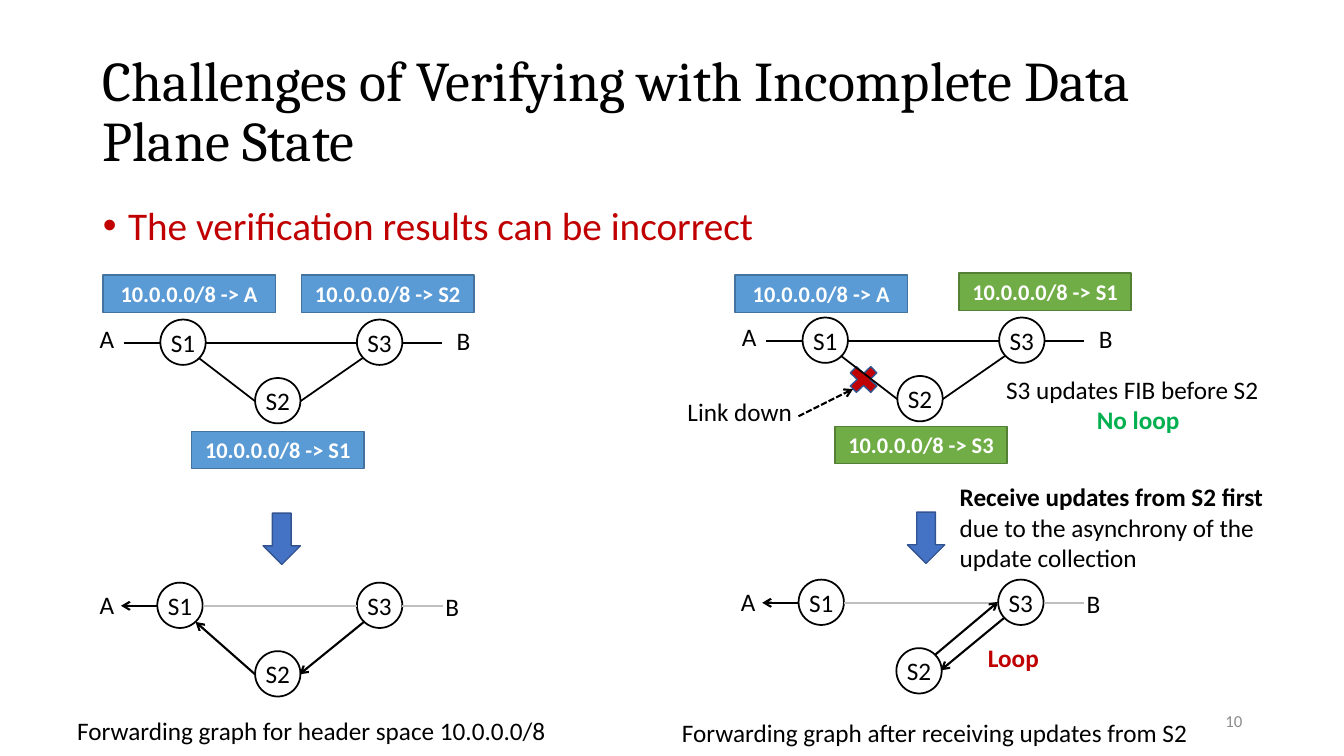
from lxml import etree
from pptx import Presentation
from pptx.dml.color import RGBColor
from pptx.enum.dml import MSO_LINE
from pptx.enum.shapes import MSO_CONNECTOR, MSO_SHAPE
from pptx.enum.text import MSO_ANCHOR, MSO_AUTO_SIZE, PP_ALIGN
from pptx.oxml.ns import qn
from pptx.util import Pt

PX = 9144
LEFT, CENTER, RIGHT = PP_ALIGN.LEFT, PP_ALIGN.CENTER, PP_ALIGN.RIGHT
TOP, MIDDLE = MSO_ANCHOR.TOP, MSO_ANCHOR.MIDDLE
OVAL, RECTANGLE = MSO_SHAPE.OVAL, MSO_SHAPE.RECTANGLE
CROSS, DOWN_ARROW = MSO_SHAPE.MATH_MULTIPLY, MSO_SHAPE.DOWN_ARROW
STRAIGHT, SYSTEM_DASH = MSO_CONNECTOR.STRAIGHT, MSO_LINE.SQUARE_DOT
BLACK, WHITE, RED, GREEN, GRAY = "000000", "FFFFFF", "C00000", "00B050", "8C8C8C"
OLD_RULE, NEW_RULE = ("5B9BD5", "43739E"), ("70AD47", "538035")
LINK, UNUSED, ROUTE = (BLACK, 1.25, False), ("BFBFBF", 1.25, False), (BLACK, 1.5, True)

presentation = Presentation()
presentation.slide_width = 1333 * PX
presentation.slide_height = 750 * PX
slide = presentation.slides.add_slide(presentation.slide_layouts[1])


def add_box(kind, bounds, text="", fill=None, line=None, line_width=1,
            size=18, color=BLACK, bold=False, align=LEFT, anchor=TOP):
    bounds = [value * PX for value in bounds]
    if kind is None:
        shape = slide.shapes.add_textbox(*bounds)
    else:
        shape = slide.shapes.add_shape(kind, *bounds)
        shape.shadow.inherit = False
        shape.fill.solid()
        shape.fill.fore_color.rgb = RGBColor.from_string(fill)
        shape.line.color.rgb = RGBColor.from_string(line)
        shape.line.width = Pt(line_width)
    frame = shape.text_frame
    frame.word_wrap = True
    frame.vertical_anchor = anchor
    if kind == OVAL:
        frame.margin_left = frame.margin_right = 0
    paragraph = frame.paragraphs[0]
    paragraph.text = text
    paragraph.alignment = align
    paragraph.font.name = "Calibri"
    paragraph.font.size = Pt(size)
    paragraph.font.bold = bold
    paragraph.font.color.rgb = RGBColor.from_string(color)
    return shape


def add_link(begin, end, style):
    color, width, arrow = style
    points = [value * PX for value in (*begin, *end)]
    connector = slide.shapes.add_connector(STRAIGHT, *points)
    connector.line.color.rgb = RGBColor.from_string(color)
    connector.line.width = Pt(width)
    if arrow:
        etree.SubElement(connector.line._get_or_add_ln(), qn("a:tailEnd"), type="arrow")
    etree.SubElement(connector._element.spPr, qn("a:effectLst"))
    return connector


title, body = slide.placeholders
for placeholder, text, bounds, font_name, size, color, anchor in [
    (title, "Challenges of Verifying with Incomplete Data Plane State",
     (92, 40, 1150, 145), "Cambria", 40, BLACK, MIDDLE),
    (body, "The verification results can be incorrect",
     (92, 200, 1150, 476), "Calibri", 28, RED, TOP),
]:
    placeholder.left, placeholder.top, placeholder.width, placeholder.height = [
        value * PX for value in bounds]
    frame = placeholder.text_frame
    frame.text = text
    frame.auto_size = MSO_AUTO_SIZE.NONE
    frame.vertical_anchor = anchor
    paragraph = frame.paragraphs[0]
    paragraph.alignment = LEFT
    paragraph.line_spacing = 0.9
    paragraph.space_before = Pt(0)
    if placeholder is body:
        properties = paragraph._p.get_or_add_pPr()
        properties.set("marL", str(25 * PX))
        properties.set("indent", str(-25 * PX))
        bullet_font = etree.SubElement(properties, qn("a:buFont"))
        bullet_font.set("typeface", "Arial")
        etree.SubElement(properties, qn("a:buChar")).set("char", "•")
    paragraph.font.name = font_name
    paragraph.font.size = Pt(size)
    paragraph.font.color.rgb = RGBColor.from_string(color)

add_box(None, (942, 695, 300, 40), "10", size=12, color=GRAY, align=RIGHT, anchor=MIDDLE)

for left, top, target, (fill, line) in [
    (102, 273, "A", OLD_RULE),
    (299, 273, "S2", OLD_RULE),
    (190, 428, "S1", OLD_RULE),
    (729, 273, "A", OLD_RULE),
    (951, 271, "S1", NEW_RULE),
    (828, 423, "S3", NEW_RULE),
]:
    add_box(RECTANGLE, (left, top, 171, 37), f"10.0.0.0/8 -> {target}", fill, line,
            size=16, color=WHITE, bold=True, align=CENTER, anchor=MIDDLE)

add_box(CROSS, (837, 358, 39, 37), fill=RED, line="325491")
for left, top in [(261, 509), (900, 508)]:
    add_box(DOWN_ARROW, (left, top, 37, 51), fill="4472C4", line="325491")

topology = dict(
    s3=(195, 0), s2=(94, 58), a=(-70, -1), b=(284, 1),
    links=[((38, 38), (94, 81), LINK), ((139, 81), (201, 38), LINK),
           ((240, 23), (279, 23), LINK), ((0, 23), (-36, 23), LINK),
           ((45, 23), (195, 23), LINK)])
forwarding = dict(
    s3=(198, 0), s2=(97, 68), a=(-67, 2), b=(276, 4),
    links=[((243, 23), (283, 23), UNUSED), ((0, 23), (-36, 23), ROUTE),
           ((45, 23), (198, 23), UNUSED)])
correct_routes = [((97, 91), (38, 39), ROUTE), ((205, 39), (141, 91), ROUTE)]
loop_routes = [((135, 75), (198, 22), ROUTE), ((204, 38), (141, 90), ROUTE)]

for left, top, graph, routes in [
    (159, 317, topology, []),
    (796, 315, topology, []),
    (156, 578, forwarding, correct_routes),
    (792, 575, forwarding, loop_routes),
]:
    for name, (x, y) in [("S1", (0, 0)), ("S3", graph["s3"]), ("S2", graph["s2"])]:
        add_box(OVAL, (left + x, top + y, 45, 45), name, WHITE, BLACK, 1.25,
                align=CENTER, anchor=MIDDLE)
    for (x1, y1), (x2, y2), style in graph["links"] + routes:
        add_link((left + x1, top + y1), (left + x2, top + y2), style)
    for name, (x, y), width in [("A", graph["a"], 36), ("B", graph["b"], 60)]:
        add_box(None, (left + x, top + y, width, 40), name)

for text, bounds, color, bold, align in [
    ("Loop", (970, 632, 99, 40), RED, True, LEFT),
    ("No loop", (1078, 396, 130, 40), GREEN, True, LEFT),
    ("S3 updates FIB before S2", (988, 366, 272, 40), BLACK, False, LEFT),
    ("Link down", (672, 388, 130, 40), BLACK, False, LEFT),
    ("Forwarding graph for header space 10.0.0.0/8", (39, 705, 540, 40), BLACK, False, CENTER),
    ("Forwarding graph after receiving updates from S2", (657, 707, 540, 40),
     BLACK, False, CENTER),
]:
    add_box(None, bounds, text, color=color, bold=bold, align=align)

update_note = add_box(None, (942, 473, 355, 101), "Receive updates from S2 first ")
paragraph = update_note.text_frame.paragraphs[0]
paragraph.runs[0].font.bold = True
paragraph.add_run().text = "due to the asynchrony of the update collection"

link_down_pointer = add_link((792, 413), (846, 386), ROUTE)
link_down_pointer.line.dash_style = SYSTEM_DASH

presentation.save("out.pptx")
